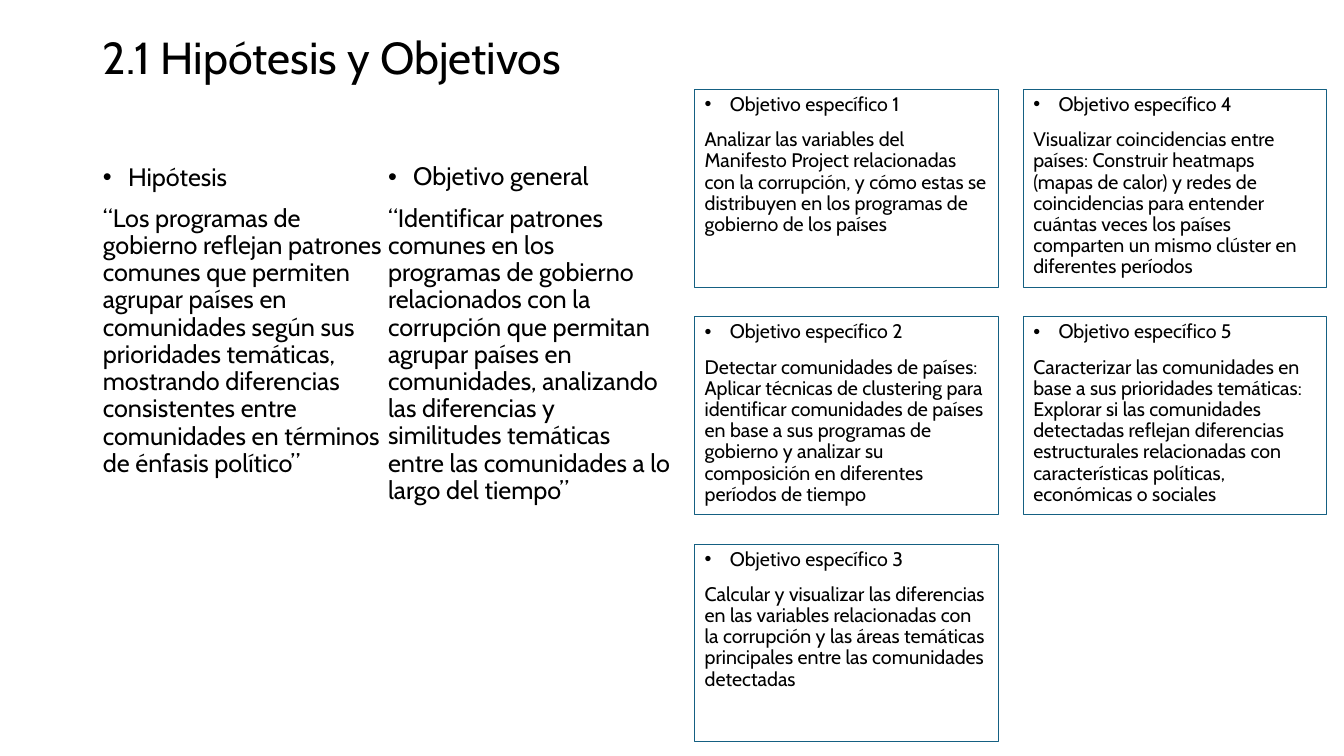
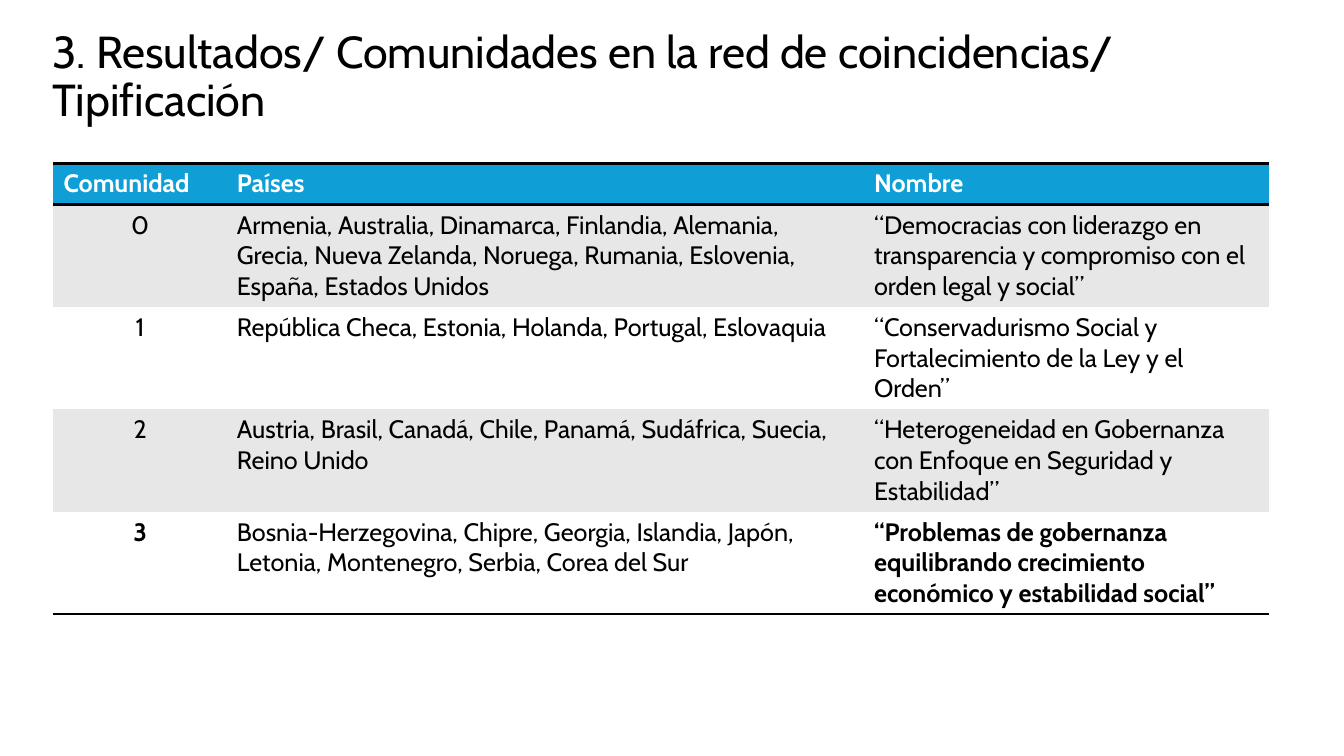
from pptx import Presentation
from pptx.dml.color import RGBColor
from pptx.enum.shapes import MSO_SHAPE
from pptx.enum.text import MSO_ANCHOR, MSO_AUTO_SIZE, PP_ALIGN
from pptx.oxml.ns import qn
from pptx.util import Inches, Pt
from lxml import etree

RECT = MSO_SHAPE.RECTANGLE
TOP, MID = MSO_ANCHOR.TOP, MSO_ANCHOR.MIDDLE
LEFT, MIDDLE = PP_ALIGN.LEFT, PP_ALIGN.CENTER
FIXED = MSO_AUTO_SIZE.NONE

FONT = "Cabin"
BLACK, WHITE, GREY = "000000", "FFFFFF", "E7E7E7"
BLUE, TEAL = "0F9ED5", "156082"
PLAIN = "{2D5ABB26-0587-4C30-8999-92F81FD0307C}"  # table style without grid

AIMS = [
    "Analizar las variables del Manifesto Project relacionadas con la corrupción, "
    "y cómo estas se distribuyen en los programas de gobierno de los países",
    "Detectar comunidades de países: Aplicar técnicas de clustering para identificar "
    "comunidades de países en base a sus programas de gobierno y analizar su "
    "composición en diferentes períodos de tiempo",
    "Calcular y visualizar las diferencias en las variables relacionadas con la "
    "corrupción y las áreas temáticas principales entre las comunidades detectadas",
    "Visualizar coincidencias entre países: Construir heatmaps (mapas de calor) y "
    "redes de coincidencias para entender cuántas veces los países comparten un "
    "mismo clúster en diferentes períodos",
    "Caracterizar las comunidades en base a sus prioridades temáticas: Explorar si "
    "las comunidades detectadas reflejan diferencias estructurales relacionadas con "
    "características políticas, económicas o sociales",
]
THESIS = (
    "“Los programas de gobierno reflejan patrones comunes que permiten agrupar "
    "países en comunidades según sus prioridades temáticas, mostrando diferencias "
    "consistentes entre comunidades en términos de énfasis político”"
)
GOAL = (
    "“Identificar patrones comunes en los programas de gobierno relacionados con la "
    "corrupción que permitan agrupar países en comunidades, analizando las "
    "diferencias y similitudes temáticas entre las comunidades a lo largo del tiempo”"
)
ROWS = [
    ("Comunidad", "Países", "Nombre"),
    ("0", "Armenia, Australia, Dinamarca, Finlandia, Alemania, Grecia, Nueva Zelanda, "
     "Noruega, Rumania, Eslovenia, España, Estados Unidos",
     "“Democracias con liderazgo en transparencia y compromiso con el orden legal y social”"),
    ("1", "República Checa, Estonia, Holanda, Portugal, Eslovaquia",
     "“Conservadurismo Social y Fortalecimiento de la Ley y el Orden”"),
    ("2", "Austria, Brasil, Canadá, Chile, Panamá, Sudáfrica, Suecia, Reino Unido",
     "“Heterogeneidad en Gobernanza con Enfoque en Seguridad y Estabilidad”"),
    ("3", "Bosnia-Herzegovina, Chipre, Georgia, Islandia, Japón, Letonia, Montenegro, "
     "Serbia, Corea del Sur",
     "“Problemas de gobernanza equilibrando crecimiento económico y estabilidad social”"),
]


def rgb(code):
    return RGBColor.from_string(code)


def place(shape, box):
    shape.left, shape.top, shape.width, shape.height = map(Inches, box)


def write(par, text, size=18, color=BLACK, bold=False, align=LEFT, line=None, before=0):
    par.alignment = align
    par.space_before = Pt(before)
    if line:
        par.line_spacing = line
    run = par.add_run()
    run.text = text
    font = run.font
    font.name, font.size, font.bold = FONT, Pt(size), bold
    font.color.rgb = rgb(color)


def bullet(par, mark=None):
    """Give the paragraph a hanging mark, or none at all."""
    props = par._p.get_or_add_pPr()
    hang = Inches(0.25) if mark else 0
    props.set("marL", str(hang))
    props.set("indent", str(-hang))
    if mark:
        etree.SubElement(props, qn("a:buFont"), typeface="Arial")
        etree.SubElement(props, qn("a:buChar"), char=mark)
    else:
        etree.SubElement(props, qn("a:buNone"))


def title(slide, text, box):
    shape = slide.shapes.title
    place(shape, box)
    frame = shape.text_frame
    frame.auto_size, frame.vertical_anchor = FIXED, MID
    write(frame.paragraphs[0], text, size=32, line=0.9)


def topic(shape, head, text, size):
    """Fill a shape with a bulleted heading and its paragraph."""
    frame = shape.text_frame
    frame.word_wrap = True
    frame.auto_size, frame.vertical_anchor = FIXED, TOP
    pars = frame.paragraphs[0], frame.add_paragraph()
    for par, words, mark in zip(pars, (head, text), ("•", None)):
        write(par, words, size=size, line=0.9, before=10)
        bullet(par, mark)


def aims(slide, box):
    """Outlined boxes, filled column by column, three to a column."""
    left, top, width, height = box
    wide, high = 3.01, 1.96
    for i, text in enumerate(AIMS):
        col, row = divmod(i, 3)
        x = left + col * (width - wide)
        y = top + row * (height - high) / 2
        shape = slide.shapes.add_shape(RECT, *map(Inches, (x, y, wide, high)))
        shape.shadow.inherit = False
        shape.fill.background()
        shape.line.color.rgb = rgb(TEAL)
        shape.line.width = Pt(0.75)
        topic(shape, f"Objetivo específico {i + 1}", text, 14)


def rule(cell, side):
    """Draw a black border on one side (T or B) of a cell."""
    line = etree.Element(qn(f"a:ln{side}"), w=str(Pt(2)))
    fill = etree.SubElement(line, qn("a:solidFill"))
    etree.SubElement(fill, qn("a:srgbClr"), val=BLACK)
    props = cell._tc.get_or_add_tcPr()
    props.insert(len(props.findall(qn("a:lnT"))), line)


def grid(slide, box):
    last = len(ROWS) - 1
    frame = slide.shapes.add_table(len(ROWS), 3, *map(Inches, box))
    table = frame.table
    table._tbl.tblPr.find(qn("a:tableStyleId")).text = PLAIN
    for col, wide in zip(table.columns, (1.72, 6.32, 4.02)):
        col.width = Inches(wide)
    for r, row in enumerate(ROWS):
        head = r == 0
        table.rows[r].height = Inches(0.41 if head else 1)
        for c, text in enumerate(row):
            cell = table.cell(r, c)
            cell.fill.solid()
            cell.fill.fore_color.rgb = rgb(BLUE if head else GREY if r % 2 else WHITE)
            write(cell.text_frame.paragraphs[0], text,
                  color=WHITE if head else BLACK,
                  bold=head or (r == last and c != 1),
                  align=MIDDLE if c == 0 and not head else LEFT)
            if head:
                rule(cell, "T")
            if head or r == last:
                rule(cell, "B")


def goals(deck):
    slide = deck.slides.add_slide(deck.slide_layouts[1])
    title(slide, "2.1 Hipótesis y Objetivos", (0.92, 0.22, 11.5, 0.74))
    # Hypothesis and general goal
    body = slide.placeholders[1]
    place(body, (0.92, 1.58, 3.01, 3.97))
    topic(body, "Hipótesis", THESIS, 18)
    side = slide.shapes.add_textbox(*map(Inches, (3.75, 1.58, 3.01, 3.97)))
    topic(side, "Objetivo general", GOAL, 18)
    # Specific goals
    aims(slide, (6.89, 0.89, 6.27, 6.47))


def results(deck):
    slide = deck.slides.add_slide(deck.slide_layouts[5])
    title(slide, "3. Resultados/ Comunidades en la red de coincidencias/ Tipificación",
          (0.42, 0.22, 12.17, 1.11))
    grid(slide, (0.53, 1.62, 12.06, 4.41))


def main():
    deck = Presentation()
    deck.slide_width, deck.slide_height = Inches(13.33), Inches(7.5)
    goals(deck)
    results(deck)
    deck.save("out.pptx")


if __name__ == "__main__":
    main()
